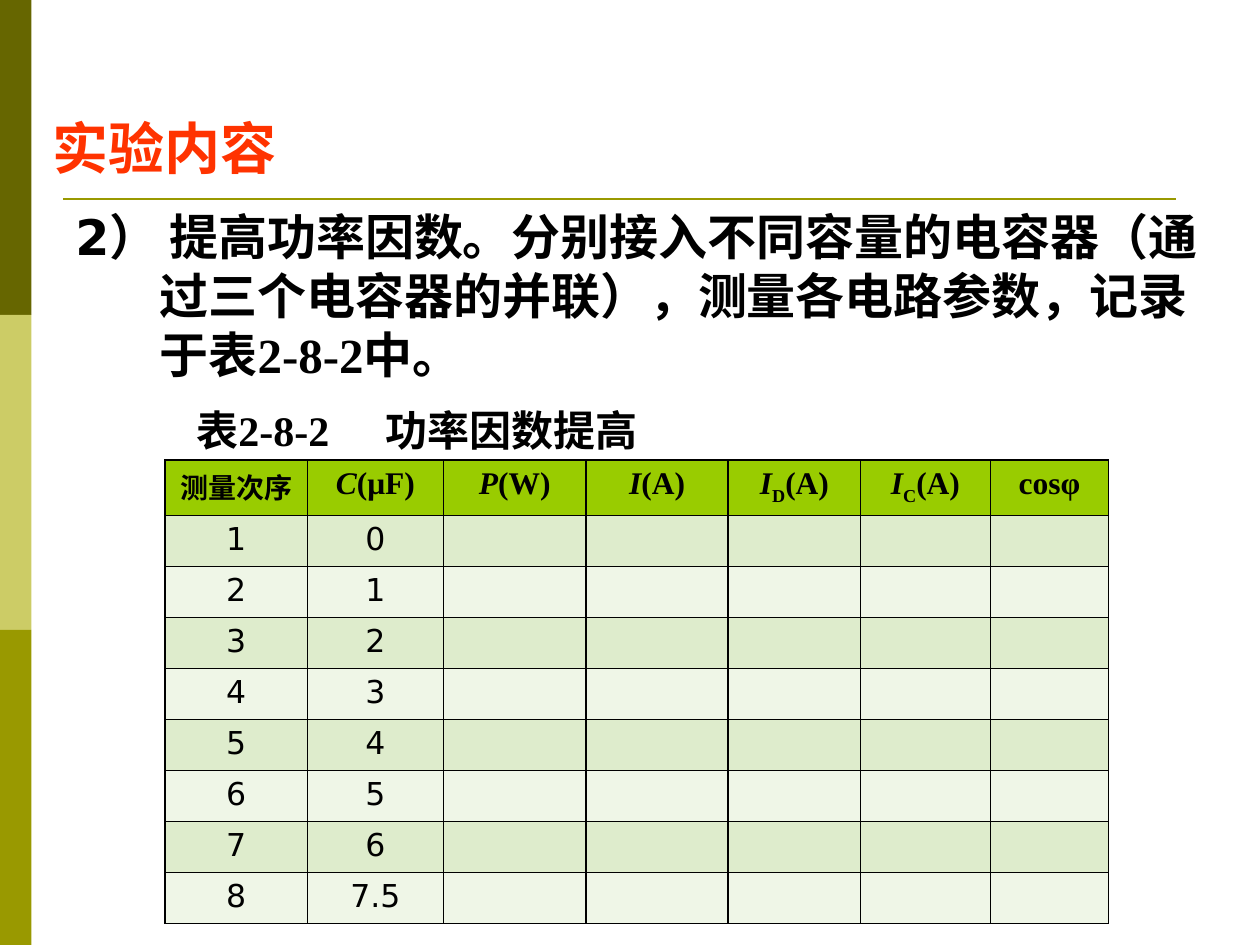
from lxml.etree import SubElement
from pptx import Presentation
from pptx.dml.color import RGBColor
from pptx.enum.shapes import MSO_CONNECTOR, MSO_SHAPE
from pptx.enum.text import PP_ALIGN
from pptx.oxml.ns import qn
from pptx.util import Inches, Pt

SANS, SERIF = "DejaVu Sans", "Times New Roman"
BLACK, RED = "000000", "FF3300"
SIDE_BAND_COLORS = ["666600", "CCCC66", "999900"]
RULE_COLOR = "999900"
HEADER_FILL, ROW_FILLS = "99CC00", ["DEECCC", "EFF6E7"]

TITLE = [("实验内容", SANS)]
BODY = [
    ("2） 提高功率因数。分别接入不同容量的电容器（通过三个电容器的并联），测量各电路参数，记录于表", SANS),
    ("2-8-2", SERIF),
    ("中。", SANS),
]
CAPTION = [("表", SANS), ("2-8-2\t功率因数提高", SERIF)]

# Each heading: symbol in italics, subscript, upright remainder
HEADINGS = [
    ("", "", "测量次序"), ("C", "", "(μF)"), ("P", "", "(W)"), ("I", "", "(A)"),
    ("I", "D", "(A)"), ("I", "C", "(A)"), ("", "", "cosφ"),
]
CAPACITANCES = ["0", "1", "2", "3", "4", "5", "6", "7.5"]
COLUMN_WIDTHS = [1.13, 1.08, 1.13, 1.13, 1.05, 1.03, 0.94]
ROW_HEIGHT = 0.405


def color(value):
    return RGBColor.from_string(value)


def add_run(paragraph, text, font_name, size, text_color=BLACK, bold=True):
    run = paragraph.add_run()
    run.text = text
    run.font.name = font_name
    run.font.size = Pt(size)
    run.font.bold = bold
    run.font.color.rgb = color(text_color)
    return run


def add_text(slide, box, runs, size, text_color=BLACK, hanging=0, tab=None):
    text_frame = slide.shapes.add_textbox(*map(Inches, box)).text_frame
    text_frame.word_wrap = True
    paragraph = text_frame.paragraphs[0]
    properties = paragraph._p.get_or_add_pPr()
    properties.set("marL", str(Inches(hanging)))
    properties.set("indent", str(-Inches(hanging)))
    if tab:
        tab_list = SubElement(properties, qn("a:tabLst"))
        SubElement(tab_list, qn("a:tab"), pos=str(Inches(tab)), algn="l")
    for text, font_name in runs:
        add_run(paragraph, text, font_name, size, text_color)


def style_cell(cell, fill):
    properties = cell._tc.get_or_add_tcPr()
    for side in ("lnL", "lnR", "lnT", "lnB"):
        line = SubElement(properties, qn(f"a:{side}"), w=str(Pt(1)))
        line_fill = SubElement(line, qn("a:solidFill"))
        SubElement(line_fill, qn("a:srgbClr"), val=BLACK)
    cell.fill.solid()
    cell.fill.fore_color.rgb = color(fill)
    cell.text_frame.paragraphs[0].alignment = PP_ALIGN.CENTER


def add_heading(paragraph, symbol, subscript, rest):
    if symbol:
        add_run(paragraph, symbol, SERIF, 18).font.italic = True
    if subscript:
        run = add_run(paragraph, subscript, SERIF, 18)
        run.font._element.set("baseline", "-25000")
    if rest == "测量次序":
        add_run(paragraph, rest, SANS, 16)
    else:
        add_run(paragraph, rest, SERIF, 18)


def add_measurement_table(slide):
    row_count = len(CAPACITANCES) + 1
    table = slide.shapes.add_table(
        row_count, len(HEADINGS), Inches(1.31), Inches(3.65),
        Inches(sum(COLUMN_WIDTHS)), Inches(ROW_HEIGHT * row_count)).table
    for column, width in zip(table.columns, COLUMN_WIDTHS):
        column.width = Inches(width)
    for row_index, row in enumerate(table.rows):
        row.height = Inches(ROW_HEIGHT)
        fill = ROW_FILLS[(row_index - 1) % 2] if row_index else HEADER_FILL
        for cell in row.cells:
            style_cell(cell, fill)
    for column_index, heading in enumerate(HEADINGS):
        add_heading(table.cell(0, column_index).text_frame.paragraphs[0], *heading)
    for number, capacitance in enumerate(CAPACITANCES, start=1):
        for column_index, text in enumerate((str(number), capacitance)):
            paragraph = table.cell(number, column_index).text_frame.paragraphs[0]
            add_run(paragraph, text, SANS, 18, bold=False)


def add_decoration(slide):
    band_height = 7.5 / len(SIDE_BAND_COLORS)
    for index, band_color in enumerate(SIDE_BAND_COLORS):
        band = slide.shapes.add_shape(
            MSO_SHAPE.RECTANGLE, 0, Inches(index * band_height),
            Inches(0.25), Inches(band_height))
        band.shadow.inherit = False
        band.fill.solid()
        band.fill.fore_color.rgb = color(band_color)
        band.line.fill.background()
    rule = slide.shapes.add_connector(
        MSO_CONNECTOR.STRAIGHT, Inches(0.5), Inches(1.58), Inches(9.33), Inches(1.58))
    rule.line.color.rgb = color(RULE_COLOR)
    rule.line.width = Pt(1.5)
    SubElement(rule._element.spPr, qn("a:effectLst"))


def main():
    presentation = Presentation()
    presentation.slide_width = Inches(10)
    presentation.slide_height = Inches(7.5)
    slide = presentation.slides.add_slide(presentation.slide_layouts[6])
    add_decoration(slide)
    add_text(slide, (0.5, 1.59, 9.27, 5.07), BODY, 28, hanging=0.67)
    add_measurement_table(slide)
    add_text(slide, (1.46, 3.16, 7.33, 0.59), CAPTION, 24, tab=1.63)
    add_text(slide, (0.32, 0.85, 8.83, 0.66), TITLE, 32, RED)
    presentation.save("out.pptx")


if __name__ == "__main__":
    main()
